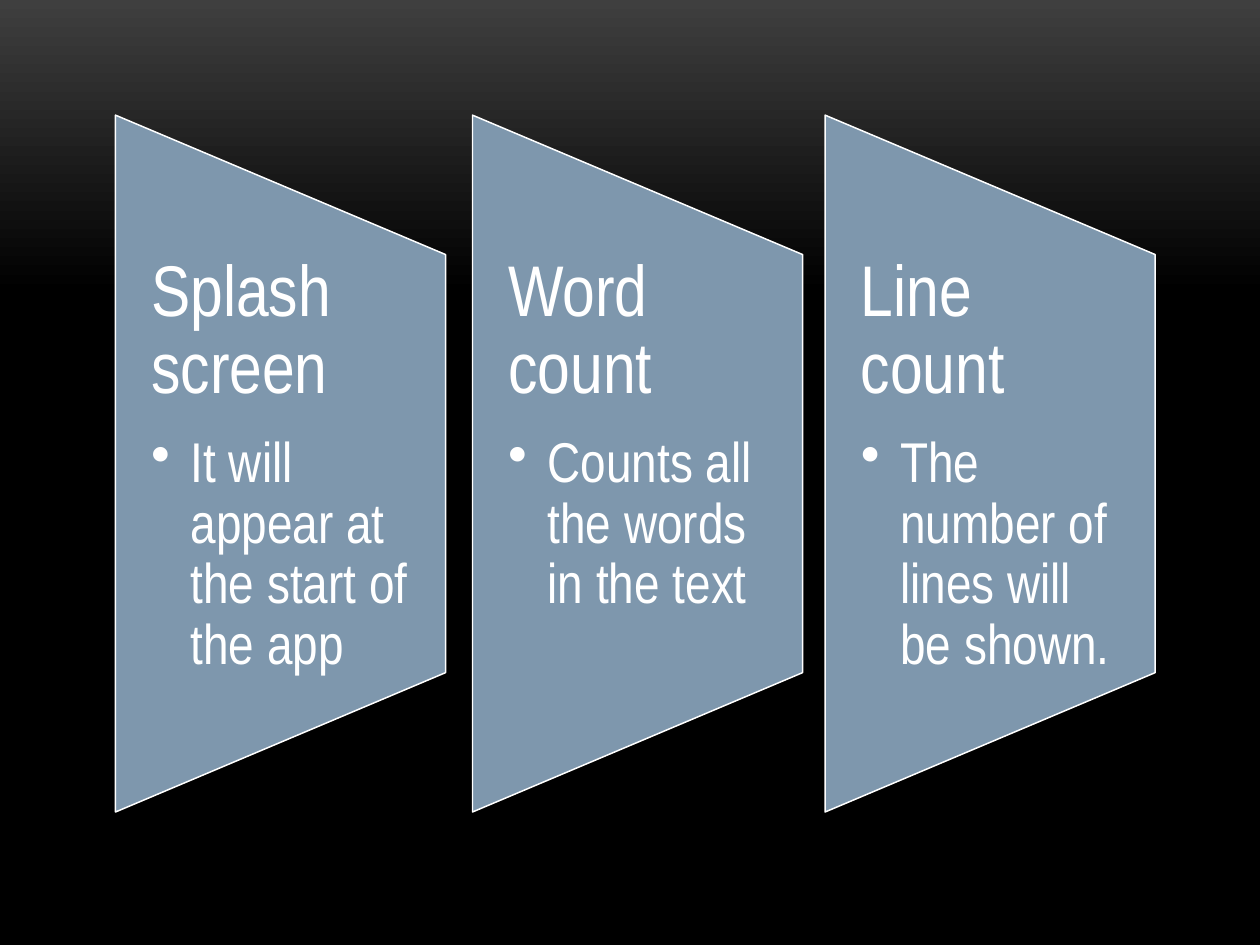
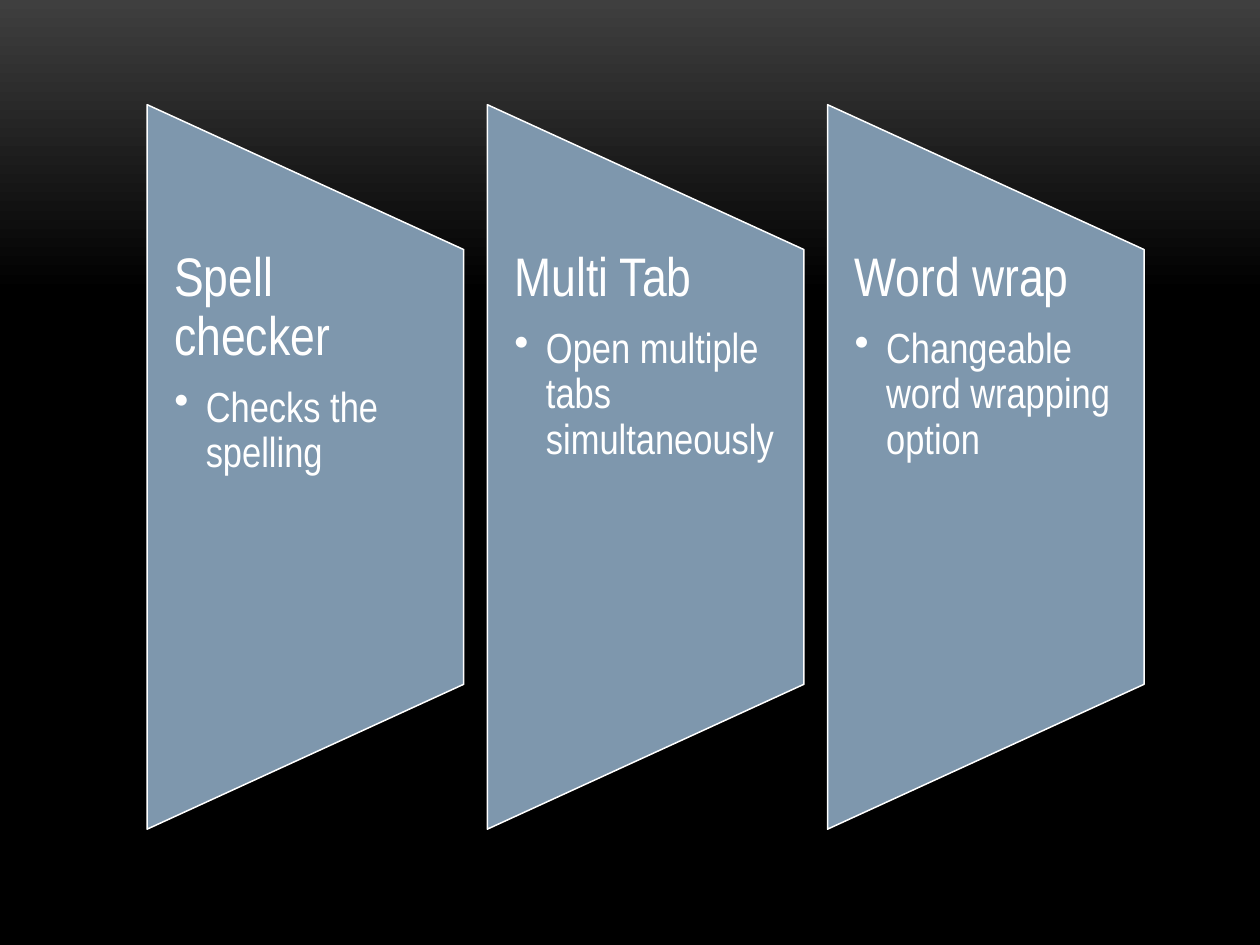
"""Build two slides of app features on tapered panels."""
import pptx
import pptx.dml.color
import pptx.enum.shapes
import pptx.enum.text
import pptx.util
from lxml import etree

Pt = pptx.util.Pt
RGBColor = pptx.dml.color.RGBColor

SLIDES = [
    {
        "features": [
            ("Splash screen", "It will appear at the start of the app"),
            ("Word count", "Counts all the words in the text"),
            ("Line count", "The number of lines will be shown."),
        ],
        "lefts": [66, 270, 471.5],
        "panel": (188.6, 398.2),
        "middle": 264.9,
        "inset": 20.4,
        "indent": 22.5,
        "heading_size": 41,
        "detail_size": 32,
    },
    {
        "features": [
            ("Spell checker", "Checks the spelling"),
            ("Multi Tab", "Open multiple tabs simultaneously"),
            ("Word wrap", "Changeable word wrapping option"),
        ],
        "lefts": [84.1 + 194.4 * column for column in range(3)],
        "panel": (180.9, 414),
        "middle": 266.8,
        "inset": 15.5,
        "indent": 18,
        "heading_size": 31,
        "detail_size": 24,
    },
]

FONT = "Arial Narrow"
WHITE = RGBColor(0xFF, 0xFF, 0xFF)
BLACK = RGBColor(0, 0, 0)
CHARCOAL = RGBColor(0x3F, 0x3F, 0x3F)
STEEL = RGBColor(0x7E, 0x97, 0xAD)
TEXT_SHARE = 0.6


def set_background(master):
    fill = master.background.fill
    fill.gradient()
    fill.gradient_angle = 270
    for stop, color, position in zip(fill.gradient_stops, (CHARCOAL, BLACK), (0, 0.31)):
        stop.color.rgb = color
        stop.position = position


def add_panel(page, left, middle, width, height):
    panel = page.shapes.add_shape(
        pptx.enum.shapes.MSO_SHAPE.FLOWCHART_MANUAL_OPERATION,
        Pt(left + (width - height) / 2), Pt(middle - width / 2), Pt(height), Pt(width))
    panel.rotation = 270
    panel.shadow.inherit = False
    panel.fill.solid()
    panel.fill.fore_color.rgb = STEEL
    panel.line.color.rgb = WHITE
    panel.line.width = Pt(0.85)


def style_paragraph(para, text, size, space_share):
    para.text = text
    para.line_spacing = 0.9
    para.space_after = Pt(round(size * space_share, 1))
    para.font.name = FONT
    para.font.size = Pt(size)
    para.font.color.rgb = WHITE


def add_bullet(para, indent):
    properties = para._p.get_or_add_pPr()
    properties.set("marL", str(Pt(indent)))
    properties.set("indent", str(-Pt(indent)))
    bullet = etree.SubElement(properties, pptx.oxml.ns.qn("a:buChar"))
    bullet.set("char", "•")


def add_feature_text(page, left, feature, style):
    width, panel_height = style["panel"]
    height = panel_height * TEXT_SHARE
    box = page.shapes.add_textbox(
        Pt(left), Pt(style["middle"] - height / 2), Pt(width), Pt(height))
    frame = box.text_frame
    frame.word_wrap = True
    frame.vertical_anchor = pptx.enum.text.MSO_ANCHOR.TOP
    frame.margin_left = frame.margin_right = Pt(style["inset"])
    frame.margin_top = frame.margin_bottom = 0
    heading, detail = feature
    style_paragraph(frame.paragraphs[0], heading, style["heading_size"], 0.35)
    para = frame.add_paragraph()
    para.level = 1
    style_paragraph(para, detail, style["detail_size"], 0.15)
    add_bullet(para, style["indent"])


def main():
    deck = pptx.Presentation()
    deck.slide_width, deck.slide_height = Pt(720), Pt(540)
    set_background(deck.slide_master)
    blank = deck.slide_layouts.get_by_name("Blank")
    for style in SLIDES:
        page = deck.slides.add_slide(blank)
        for left, feature in zip(style["lefts"], style["features"]):
            add_panel(page, left, style["middle"], *style["panel"])
            add_feature_text(page, left, feature, style)
    deck.save("out.pptx")


if __name__ == "__main__":
    main()
